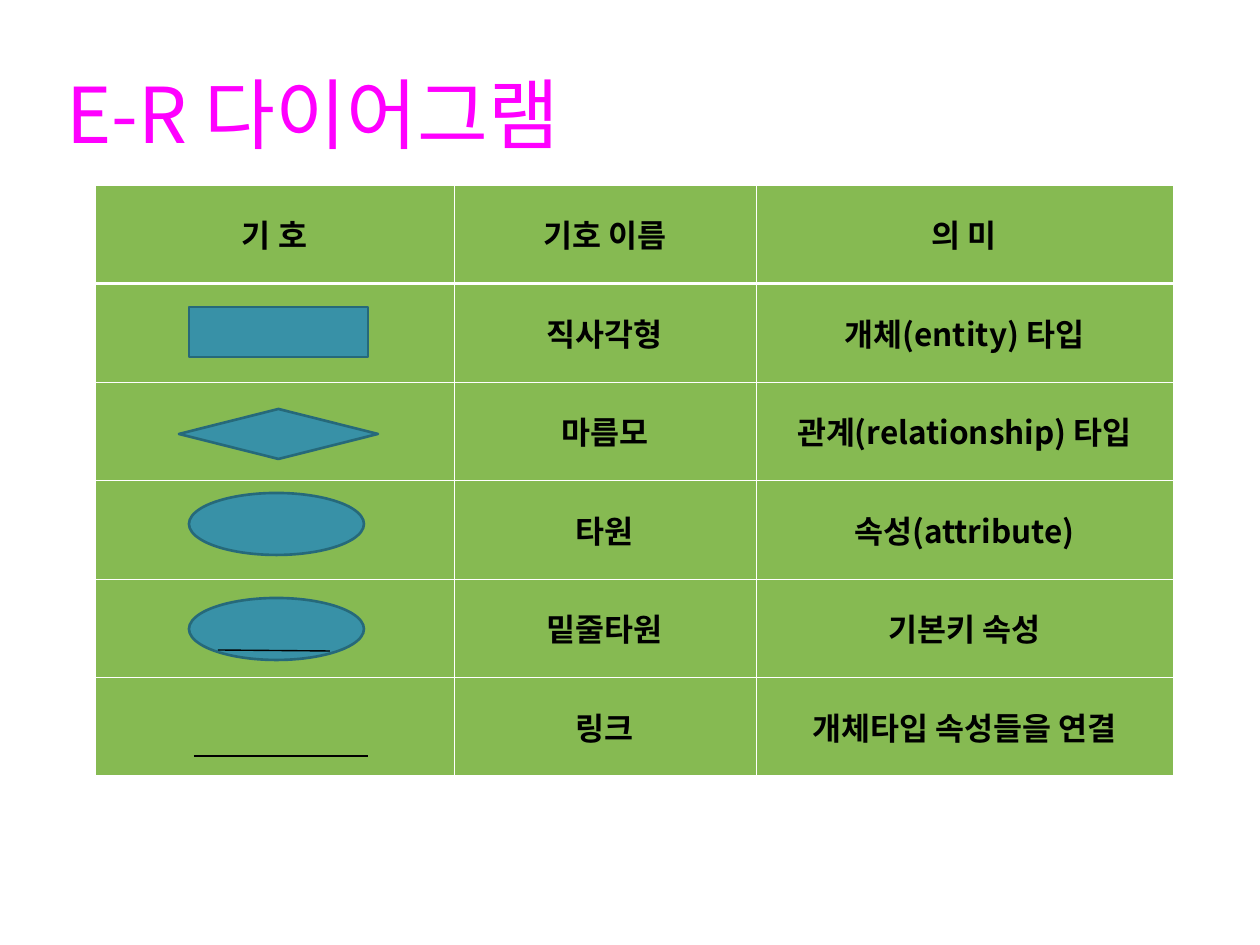
import dataclasses

import pptx
import pptx.dml.color
import pptx.enum.shapes
import pptx.enum.text
import pptx.oxml
import pptx.oxml.ns
import pptx.util

KIND = pptx.enum.shapes.MSO_SHAPE
ALIGN = pptx.enum.text.PP_ALIGN
MIDDLE = pptx.enum.text.MSO_ANCHOR.MIDDLE


@dataclasses.dataclass(frozen=True)
class Theme:
    font: str = "Noto Sans CJK KR"
    title: str = "FF00FF"
    text: str = "000000"
    cell: str = "86BA52"
    rule: str = "FFFFFF"
    fill: str = "3891A7"
    edge: str = "26697A"
    head_size: int = 44
    cell_size: int = 18
    thin: float = 0.45
    thick: float = 1.47
    outline: float = 1.5
    link: float = 0.79


THEME = Theme()
COLS = (359, 302, 417)
ROWS = (
    ("기 호", "기호 이름", "의 미"),
    ("", "직사각형", "개체(entity) 타입"),
    ("", "마름모", "관계(relationship) 타입"),
    ("", "타원", "속성(attribute)"),
    ("", "밑줄타원", "기본키 속성"),
    ("", "링크", "개체타입 속성들을 연결"),
)


def px(count):
    return pptx.util.Emu(round(count * 914400 / 126))


def rgb(code):
    return pptx.dml.color.RGBColor.from_string(code)


def style(para, size, color, align, bold=False):
    para.alignment = align
    font = para.font
    font.name, font.size, font.bold = THEME.font, pptx.util.Pt(size), bold
    font.color.rgb = rgb(color)
    # The Korean letters take the East Asian typeface.
    props = para._p.get_or_add_pPr().get_or_add_defRPr()
    face = pptx.oxml.ns.qn("a:ea")
    props.makeelement(face, {})
    props.append(props.makeelement(face, {"typeface": THEME.font}))


def add_title(slide, text):
    title = slide.shapes.title
    title.left, title.top, title.width, title.height = map(px, (54, 65, 1109, 95))
    frame = title.text_frame
    frame.text = text
    frame.vertical_anchor = MIDDLE
    style(frame.paragraphs[0], THEME.head_size, THEME.title, ALIGN.LEFT)


def add_rule(cell, side, width):
    """Draw one border; sides must come in the order L, R, T, B."""
    cell._tc.get_or_add_tcPr().append(pptx.oxml.parse_xml(
        f'<a:ln{side} {pptx.oxml.ns.nsdecls("a")} w="{pptx.util.Pt(width)}">'
        f'<a:solidFill><a:srgbClr val="{THEME.rule}"/></a:solidFill></a:ln{side}>'))


def add_grid(slide):
    high = px(591)
    frame = slide.shapes.add_table(
        len(ROWS), len(COLS), px(95), px(185), px(sum(COLS)), high)
    table = frame.table
    table.first_row = table.horz_banding = False
    for col, width in zip(table.columns, COLS):
        col.width = px(width)
    for at, (row, texts) in enumerate(zip(table.rows, ROWS)):
        row.height = high // len(ROWS)
        thick = {0: "B", 1: "T"}.get(at)
        for cell, text in zip(row.cells, texts):
            for side in "LRTB":
                add_rule(cell, side, THEME.thick if side == thick else THEME.thin)
            cell.fill.solid()
            cell.fill.fore_color.rgb = rgb(THEME.cell)
            cell.vertical_anchor = MIDDLE
            cell.text = text
            style(cell.text_frame.paragraphs[0], THEME.cell_size, THEME.text,
                  ALIGN.CENTER, True)


def add_symbol(shapes, kind, *box):
    shape = shapes.add_shape(kind, *map(px, box))
    shape.shadow.inherit = False
    shape.fill.solid()
    shape.fill.fore_color.rgb = rgb(THEME.fill)
    shape.line.color.rgb = rgb(THEME.edge)
    shape.line.width = pptx.util.Pt(THEME.outline)


def add_link(shapes, *ends):
    line = shapes.add_connector(
        pptx.enum.shapes.MSO_CONNECTOR.STRAIGHT, *map(px, ends))
    line.line.color.rgb = rgb(THEME.text)
    line.line.width = pptx.util.Pt(THEME.link)
    props = line._element.spPr
    props.append(props.makeelement(pptx.oxml.ns.qn("a:effectLst"), {}))


def main():
    deck = pptx.Presentation()
    deck.slide_width, deck.slide_height = px(1260), px(945)
    slide = deck.slides.add_slide(deck.slide_layouts[5])
    add_grid(slide)
    add_title(slide, "E-R 다이어그램")

    shapes = slide.shapes
    add_symbol(shapes, KIND.FLOWCHART_PROCESS, 189, 307, 179, 50)
    add_symbol(shapes, KIND.FLOWCHART_DECISION, 179, 409, 199, 50)
    add_symbol(shapes, KIND.OVAL, 189, 493, 175, 62)
    key = shapes.add_group_shape().shapes
    add_symbol(key, KIND.OVAL, 189, 598, 175, 62)
    add_link(key, 218, 650, 330, 651)
    add_link(shapes, 194, 756, 368, 756)
    deck.save("out.pptx")


if __name__ == "__main__":
    main()
